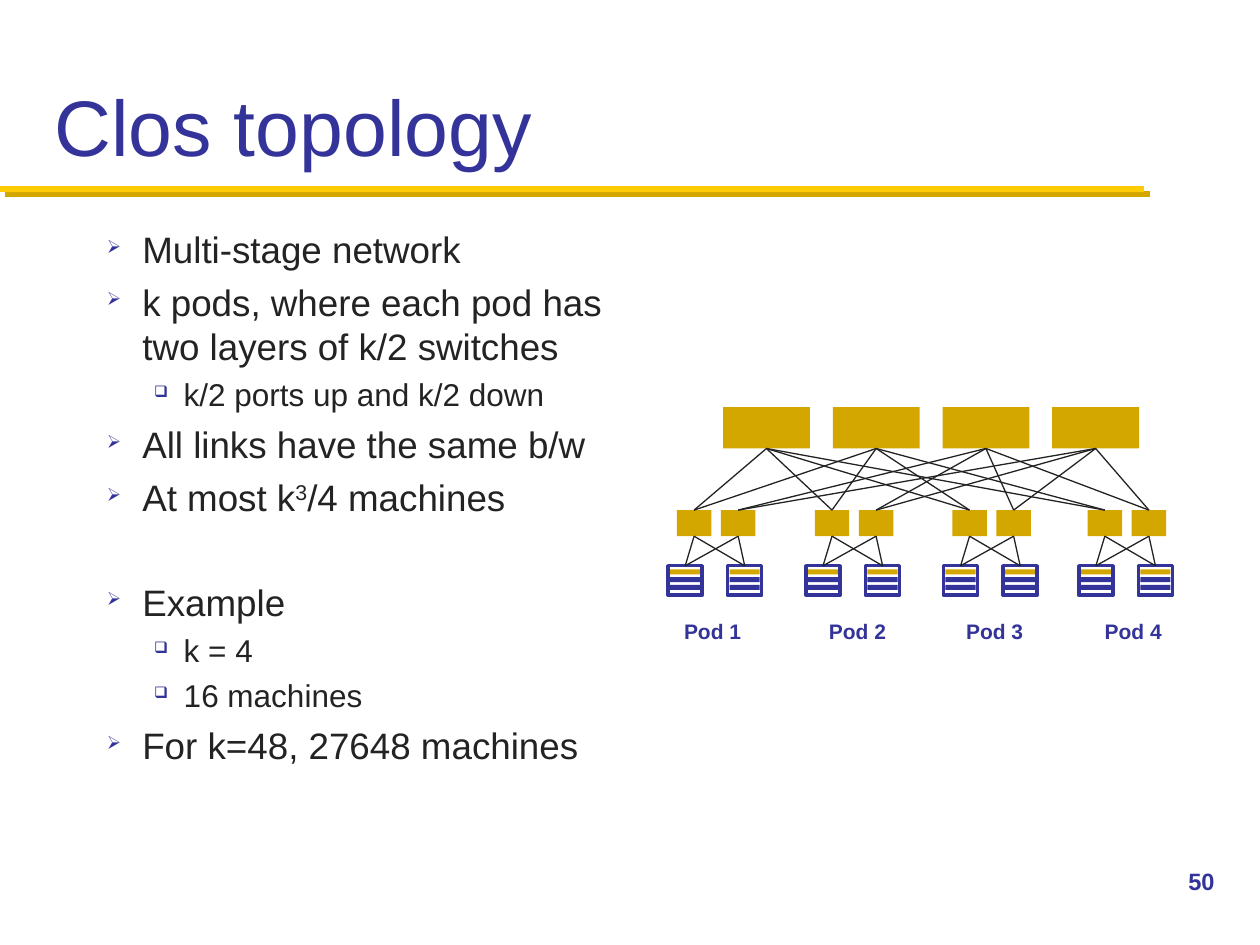
from dataclasses import dataclass
from typing import Optional

from lxml.etree import SubElement
from pptx import Presentation
from pptx.dml.color import RGBColor
from pptx.enum.shapes import MSO_CONNECTOR as Connector, MSO_SHAPE as Shape
from pptx.enum.text import MSO_ANCHOR as Anchor
from pptx.oxml.ns import qn
from pptx.util import Pt


@dataclass(frozen=True)
class Theme:
    font: str = "Arial"
    blue: str = "333399"
    gold: str = "D3A600"
    yellow: str = "FFCB05"
    ink: str = "232323"
    title: float = 45
    body: float = 21
    sub: float = 18
    number: float = 13.5
    label: float = 12


@dataclass(frozen=True)
class Box:
    left: float
    top: float
    width: float
    height: float

    @property
    def upper(self) -> tuple[float, float]:
        return self.left + self.width / 2, self.top

    @property
    def lower(self) -> tuple[float, float]:
        return self.left + self.width / 2, self.top + self.height


@dataclass(frozen=True)
class Item:
    text: str
    level: int = 0
    before: float = 5
    power: str = ""
    rest: str = ""


@dataclass(frozen=True)
class Level:
    bullet: str
    size: float
    margin: float
    hanging: float


@dataclass(frozen=True)
class Pod:
    name: str
    left: float
    label_left: float


THEME = Theme()
LEVELS = (Level("➢", THEME.body, 20.25, 20.25), Level("❑", THEME.sub, 43.9, 16.9))
ITEMS = (
    Item("Multi-stage network", before=0),
    Item("k pods, where each pod has two layers of k/2 switches"),
    Item("k/2 ports up and k/2 down", 1, 4.3),
    Item("All links have the same b/w"),
    Item("At most k", power="3", rest="/4 machines"),
    Item("Example", before=34.6),
    Item("k = 4", 1, 4.3),
    Item("16 machines", 1, 4.3),
    Item("For k=48, 27648 machines"),
)
PODS = (
    Pod("Pod 1", 381.8, 383.8),
    Pod("Pod 2", 460.6, 466.6),
    Pod("Pod 3", 539.2, 545),
    Pod("Pod 4", 616.5, 624.2),
)
CORES = [Box(413.2 + 62.7 * i, 232.6, 49.6, 23.7) for i in range(4)]


def add_frame(page, box: Box, wrap: bool = True):
    area = page.shapes.add_textbox(Pt(box.left), Pt(box.top), Pt(box.width), Pt(box.height))
    area.text_frame.word_wrap = wrap
    return area.text_frame


def add_span(para, text: str, size: float, color: str, bold: bool = False):
    span = para.add_run()
    span.text = text
    span.font.name = THEME.font
    span.font.size = Pt(size)
    span.font.bold = bold
    span.font.color.rgb = RGBColor.from_string(color)
    return span


def add_rect(page, box: Box, fill: Optional[str] = None, line: Optional[str] = None) -> None:
    rect = page.shapes.add_shape(
        Shape.RECTANGLE, Pt(box.left), Pt(box.top), Pt(box.width), Pt(box.height))
    rect.shadow.inherit = False
    if fill:
        rect.fill.solid()
        rect.fill.fore_color.rgb = RGBColor.from_string(fill)
    else:
        rect.fill.background()
    if line:
        rect.line.color.rgb = RGBColor.from_string(line)
        rect.line.width = Pt(2)
    else:
        rect.line.fill.background()


def add_line(page, start: tuple[float, float], end: tuple[float, float],
             color: str = THEME.ink, width: float = 0.75):
    """Draw a straight line and return its empty effect list."""
    line = page.shapes.add_connector(
        Connector.STRAIGHT, *(Pt(value) for value in (*start, *end)))
    line.line.color.rgb = RGBColor.from_string(color)
    line.line.width = Pt(width)
    return SubElement(line._element.spPr, qn("a:effectLst"))


def add_bullet(para, level: Level) -> None:
    props = para._p.get_or_add_pPr()
    props.set("marL", str(Pt(level.margin)))
    props.set("indent", str(-Pt(level.hanging)))
    color = SubElement(props, qn("a:buClr"))
    SubElement(color, qn("a:srgbClr"), val=THEME.blue)
    SubElement(props, qn("a:buSzPct"), val="50000")
    SubElement(props, qn("a:buChar"), char=level.bullet)


def add_item(para, item: Item) -> None:
    level = LEVELS[item.level]
    para.level = item.level
    add_bullet(para, level)
    para.space_before = Pt(item.before)
    add_span(para, item.text, level.size, THEME.ink)
    if item.power:
        power = add_span(para, item.power, level.size, THEME.ink)
        power.font._element.set("baseline", "30000")
        add_span(para, item.rest, level.size, THEME.ink)


def add_rack(page, rack: Box) -> None:
    for row, color in enumerate((THEME.gold, THEME.blue, THEME.blue)):
        add_rect(page, Box(rack.left + 1.1, 325.4 + 4.4 * row, 17.3, 2.9), color)
    add_rect(page, rack, line=THEME.blue)


def add_pod(page, pod: Pod) -> None:
    racks = [Box(pod.left + 34 * i, 323.3, 19.5, 16.9) for i in range(2)]
    switches = [Box(pod.left + 5 + 25.2 * i, 291.5, 19.7, 14.9) for i in range(2)]
    for rack in racks:
        add_rack(page, rack)
    for index, switch in enumerate(switches):
        add_rect(page, switch, THEME.gold)
        for rack in racks:
            add_line(page, rack.upper, switch.lower)
        # Each switch reaches its own half of the core layer
        for core in CORES[2 * index:2 * index + 2]:
            add_line(page, switch.upper, core.lower)
    label = add_frame(page, Box(pod.label_left, 349.9, 47.5, 21.6), wrap=False)
    add_span(label.paragraphs[0], pod.name, THEME.label, THEME.blue, bold=True)


def main() -> None:
    deck = Presentation()
    deck.slide_width, deck.slide_height = Pt(720), Pt(540)
    page = deck.slides.add_slide(deck.slide_layouts[6])

    # Title and its shadowed rule
    effects = add_line(page, (0, 108), (654, 108), THEME.yellow, 3.5)
    shadow = SubElement(effects, qn("a:outerShdw"), dist=str(Pt(4.2)), dir="2700000",
                        algn="ctr", rotWithShape="0")
    SubElement(shadow, qn("a:srgbClr"), val=THEME.gold)
    title = add_frame(page, Box(24, 12, 672, 90))
    title.vertical_anchor = Anchor.BOTTOM
    add_span(title.paragraphs[0], "Clos topology", THEME.title, THEME.blue)

    # Bulleted text
    body = add_frame(page, Box(54, 126, 306, 348))
    for index, item in enumerate(ITEMS):
        add_item(body.add_paragraph() if index else body.paragraphs[0], item)

    # Network diagram
    for core in CORES:
        add_rect(page, core, THEME.gold)
    for pod in PODS:
        add_pod(page, pod)

    # Slide number
    number = add_frame(page, Box(672, 492, 48, 36))
    add_span(number.paragraphs[0], "50", THEME.number, THEME.blue, bold=True)

    deck.save("out.pptx")


if __name__ == "__main__":
    main()
